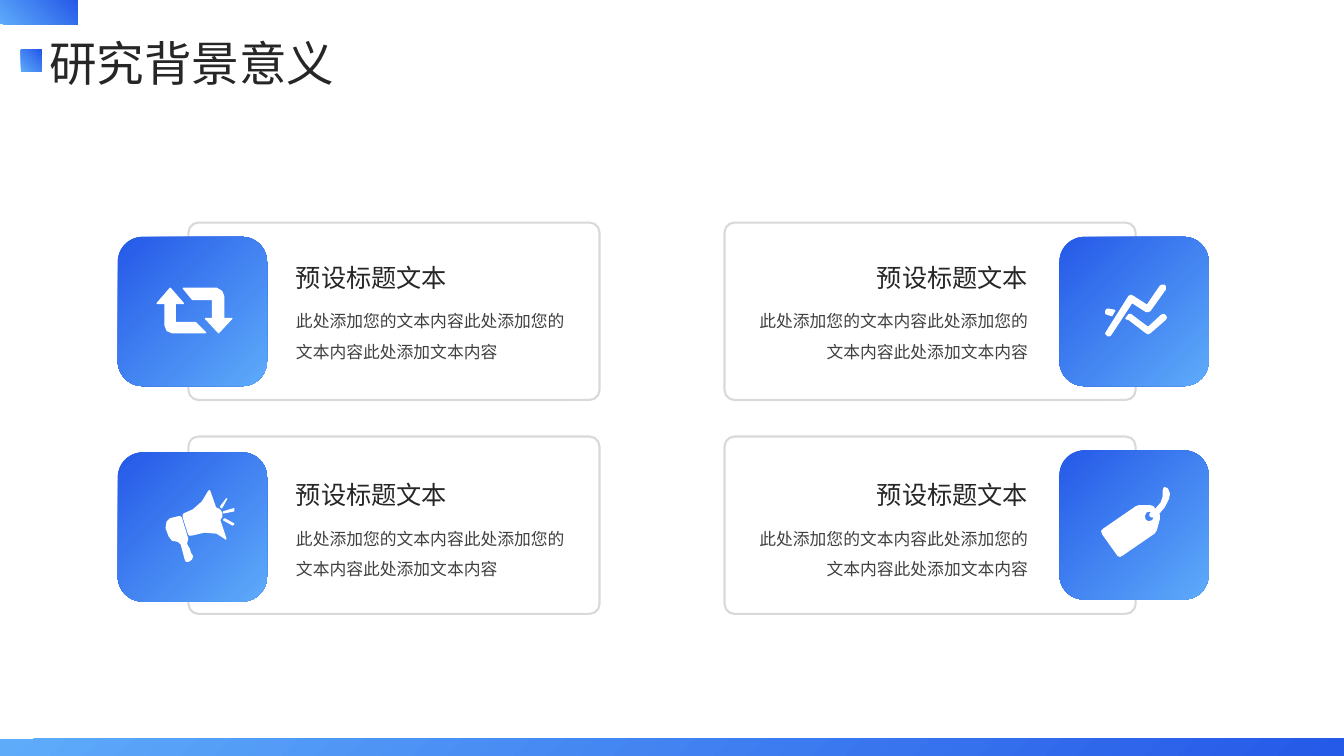
from lxml import etree
from pptx import Presentation
from pptx.dml.color import RGBColor
from pptx.enum.shapes import MSO_SHAPE
from pptx.enum.text import MSO_AUTO_SIZE, PP_ALIGN
from pptx.oxml.ns import qn
from pptx.util import Cm, Pt

RECT, ROUND = MSO_SHAPE.RECTANGLE, MSO_SHAPE.ROUNDED_RECTANGLE
LEFT, RIGHT, JUST = PP_ALIGN.LEFT, PP_ALIGN.RIGHT, PP_ALIGN.JUSTIFY
GROW = MSO_AUTO_SIZE.SHAPE_TO_FIT_TEXT


class Theme:
    font = "Noto Sans CJK SC"
    light = RGBColor.from_string("5EABFA")
    deep = RGBColor.from_string("2559E8")
    white = RGBColor.from_string("FFFFFF")
    edge = RGBColor.from_string("D9D9D9")
    head = RGBColor.from_string("262626")
    body = RGBColor.from_string("404040")
    page_size, head_size, body_size = Pt(34), Pt(18), Pt(12)


prs = Presentation()
prs.slide_width, prs.slide_height = Cm(33.87), Cm(19.05)
slide = prs.slides.add_slide(prs.slide_layouts[6])
shapes = slide.shapes


def add_blend(kind, box, start, end, angle):
    """Add a shape filled with a two-colour gradient and no line."""
    shape = shapes.add_shape(kind, *map(Cm, box))
    shape.shadow.inherit = False
    shape.fill.gradient()
    shape.fill.gradient_angle = angle
    for stop, color in zip(shape.fill.gradient_stops, (start, end)):
        stop.color.rgb = color
    shape.line.fill.background()
    return shape


def add_text(box, text, size, color, align, spacing=1.0):
    """Add a wrapped text box with one run."""
    frame = shapes.add_textbox(*map(Cm, box)).text_frame
    frame.word_wrap = True
    frame.auto_size = GROW
    para = frame.paragraphs[0]
    para.alignment = align
    para.line_spacing = spacing
    run = para.add_run()
    run.text = text
    run.font.size = size
    run.font.name = Theme.font
    run.font.color.rgb = color
    east = etree.SubElement(run.font._element, qn("a:ea"))
    east.set("typeface", Theme.font)


# Page bars and title
bars = [
    ((0, 0, 1.96, 0.61), 45),
    ((0.53, 1.26, 0.53, 0.55), 45),
    ((0, 18.62, 33.87, 0.43), 315),
]
for box, angle in bars:
    add_blend(RECT, box, Theme.light, Theme.deep, angle)
add_text((0.99, 0.74, 7.9, 1.7), "研究背景意义", Theme.page_size, Theme.head, JUST)

# Icon outlines, in hundredths of an inch from the tile corner
repeat = [
    [(105, 81), (105, 59), (103, 54), (98, 51), (65, 51), (74, 62), (94, 62),
     (94, 81), (87, 81), (100, 95), (113, 81)],
    [(57, 85), (57, 66), (65, 66), (52, 51), (39, 66), (47, 66), (47, 88),
     (49, 93), (54, 95), (87, 95), (77, 85)],
]
trend = [
    [(72, 65), (86, 74), (88, 74), (90, 73), (105, 52), (105, 49), (104, 48),
     (102, 48), (100, 49), (87, 68), (73, 59), (71, 58), (69, 59), (47, 94),
     (46, 96), (48, 98), (50, 98), (51, 97)],
    [(101, 78), (88, 90), (72, 78), (71, 77), (69, 77), (66, 81), (69, 82),
     (86, 95), (88, 96), (90, 95), (105, 82), (106, 80), (105, 78), (103, 77)],
    [(48, 77), (52, 78), (55, 73), (50, 72), (47, 72), (46, 74), (46, 76)],
]
horn = [
    [(68, 90), (69, 87), (69, 85), (63, 65), (62, 64), (60, 64), (52, 66),
     (49, 69), (48, 75), (51, 83), (54, 87), (59, 88), (61, 89), (63, 91),
     (67, 106), (68, 108), (70, 108), (73, 106), (74, 103), (72, 100),
     (71, 96), (69, 93)],
    [(101, 67), (103, 64), (103, 60), (101, 57), (97, 55), (91, 38), (90, 39),
     (84, 49), (75, 57), (66, 61), (65, 62), (65, 64), (70, 80), (71, 82),
     (73, 82), (86, 79), (98, 80), (106, 85), (107, 86), (107, 85)],
    [(108, 46), (102, 54), (103, 55)],
    [(105, 67), (114, 72), (115, 71), (106, 66)],
    [(105, 60), (115, 58), (115, 56), (105, 59)],
]
tag = [
    [(92, 70), (88, 71), (85, 69), (84, 65), (86, 61), (89, 60), (92, 61),
     (90, 63), (90, 65), (92, 66), (94, 65), (94, 67), (93, 69)],
    [(107, 38), (104, 37), (103, 40), (103, 46), (101, 52), (95, 59), (93, 56),
     (90, 55), (79, 55), (76, 56), (44, 78), (42, 80), (43, 83), (58, 104),
     (60, 105), (62, 104), (94, 82), (96, 79), (99, 68), (99, 64), (98, 63),
     (104, 56), (108, 48), (109, 43)],
]

# Cards: card left, text right edge or left edge, tile left, alignment
sides = {
    LEFT: (4.75, 7.21, 7.21, 2.97),
    RIGHT: (18.26, 19.94, 18.77, 26.7),
}
cards = [
    (LEFT, 5.61, 6.48, 5.97, repeat),
    (LEFT, 11, 11.96, 11.4, horn),
    (RIGHT, 5.61, 6.48, 5.97, trend),
    (RIGHT, 11, 11.96, 11.35, tag),
]
note = "此处添加您的文本内容此处添加您的文本内容此处添加文本内容"
unit = Cm(2.54) / 100

for align, top, head_top, tile_top, icon in cards:
    left, head_left, note_left, tile_left = sides[align]

    # Frame
    frame = shapes.add_shape(ROUND, Cm(left), Cm(top), Cm(10.36), Cm(4.47))
    frame.shadow.inherit = False
    frame.adjustments[0] = 0.056
    frame.fill.background()
    frame.line.color.rgb = Theme.edge
    frame.line.width = Pt(1.5)

    # Heading and note
    add_text((note_left, head_top + 0.98, 7.39, 1.8), note,
             Theme.body_size, Theme.body, align, 1.5)
    add_text((head_left, head_top, 6.22, 1.02), "预设标题文本",
             Theme.head_size, Theme.head, align)

    # Tile and icon
    add_blend(ROUND, (tile_left, tile_top, 3.76, 3.76),
              Theme.deep, Theme.light, 315)
    pen = shapes.build_freeform(*icon[0][0], scale=unit)
    for index, outline in enumerate(icon):
        if index:
            pen.move_to(*outline[0])
        pen.add_line_segments(outline[1:], close=True)
    glyph = pen.convert_to_shape(Cm(tile_left), Cm(tile_top))
    glyph.shadow.inherit = False
    glyph.fill.solid()
    glyph.fill.fore_color.rgb = Theme.white
    glyph.line.color.rgb = Theme.white
    glyph.line.width = Pt(1)

prs.save("out.pptx")
